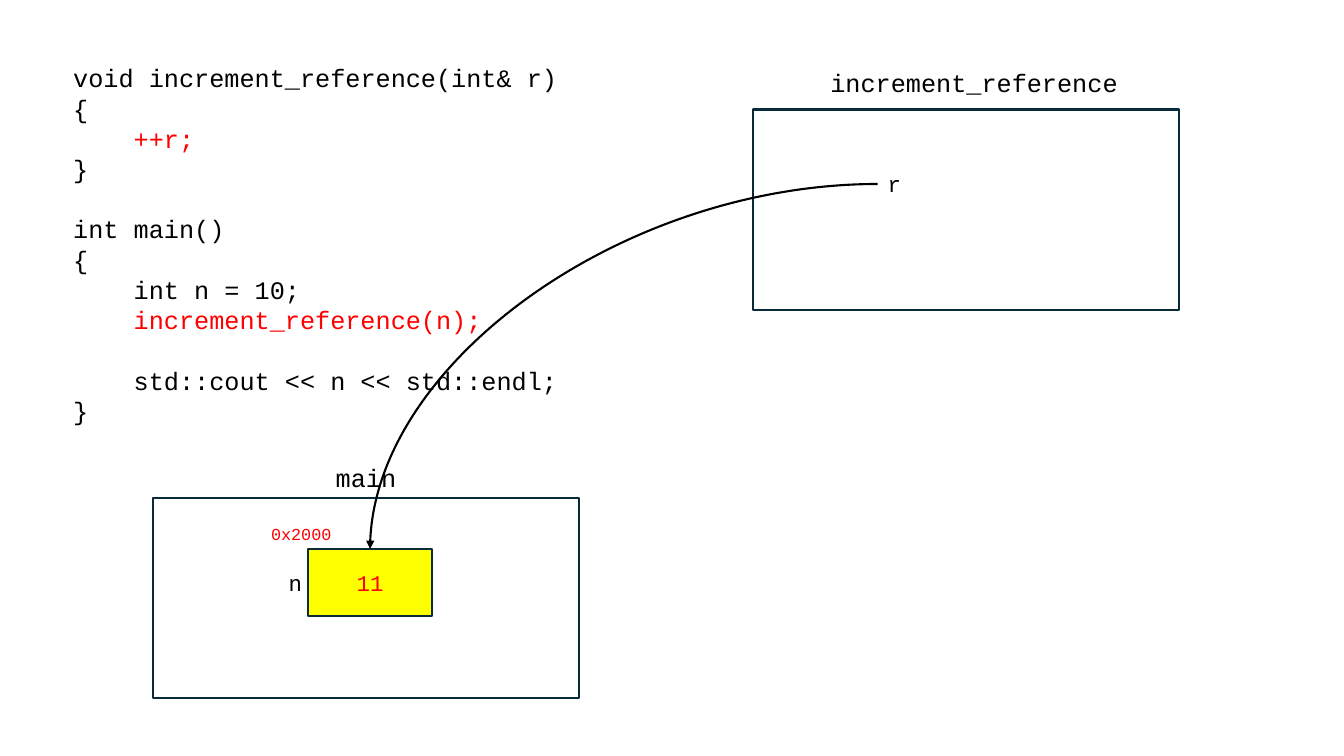
"""Build a slide showing a reference parameter that points into the caller's stack frame."""
from pptx import Presentation
from pptx.dml.color import RGBColor
from pptx.enum.shapes import MSO_CONNECTOR, MSO_SHAPE
from pptx.enum.text import MSO_ANCHOR, MSO_AUTO_SIZE, PP_ALIGN
from pptx.util import Pt
from lxml import etree

BLACK, RED, WHITE, YELLOW, NAVY = "000000", "FF0000", "FFFFFF", "FFFF00", "092A39"
LINE_PITCH = 21.6
INDENT = 43.2


def rgb(value):
    return RGBColor.from_string(value)


def write(p, text, size, color, align=PP_ALIGN.LEFT):
    p.alignment = align
    r = p.add_run()
    r.text = text
    for name, value in {"name": "Courier New", "size": Pt(size)}.items():
        setattr(r.font, name, value)
    r.font.color.rgb = rgb(color)


prs = Presentation()
prs.slide_width, prs.slide_height = Pt(960), Pt(540)
s = prs.slides.add_slide(prs.slide_layouts[6])

code = [
    ("void increment_reference(int& r)", 0, 0, BLACK),
    ("{", 0, 0, BLACK),
    ("++r;", 1, 0, RED),
    ("}", 0, 0, BLACK),
    ("int main()", 0, 1, BLACK),
    ("{", 0, 0, BLACK),
    ("int n = 10;", 1, 0, BLACK),
    ("increment_reference(n);", 1, 0, RED),
    ("std::cout << n << std::endl;", 1, 1, BLACK),
    ("}", 0, 0, BLACK),
]
tf = s.shapes.add_textbox(Pt(45.2), Pt(41.2), Pt(480), Pt(269.3)).text_frame
tf.word_wrap = True
tf.auto_size = MSO_AUTO_SIZE.SHAPE_TO_FIT_TEXT
for i, (text, level, gap, color) in enumerate(code):
    p = tf.add_paragraph() if i else tf.paragraphs[0]
    p.line_spacing = Pt(LINE_PITCH)
    if gap:
        p.space_before = Pt(LINE_PITCH)
    write(p, text, 18, color)
    if level:
        p._p.get_or_add_pPr().set("marL", str(Pt(INDENT)))

boxes = {
    "main": (109.4, 355.5, 304.4, 143.1, WHITE),
    "increment_reference": (537.8, 78.2, 304.6, 143.1, WHITE),
    "n": (220.1, 392.1, 88.6, 48.2, YELLOW),
}
cells = {}
for name, (x, y, w, h, fill) in boxes.items():
    sp = s.shapes.add_shape(MSO_SHAPE.RECTANGLE, Pt(x), Pt(y), Pt(w), Pt(h))
    sp.shadow.inherit = False
    sp.fill.solid()
    sp.fill.fore_color.rgb = rgb(fill)
    sp.line.color.rgb = rgb(NAVY)
    sp.line.width = Pt(1.5)
    cells[name] = sp
tf = cells["n"].text_frame
tf.vertical_anchor = MSO_ANCHOR.MIDDLE
write(tf.paragraphs[0], "11", 16, RED, PP_ALIGN.CENTER)

texts = [
    ("main", 214.6, 326.5, 93.6, 29.1, 18, BLACK, PP_ALIGN.CENTER),
    ("increment_reference", 583.4, 44.6, 224.6, 29.1, 18, BLACK, PP_ALIGN.CENTER),
    ("n", 199.1, 403.2, 18.7, 26.6, 16, BLACK, PP_ALIGN.CENTER),
    ("0x2000", 186.5, 370.8, 85.7, 21.6, 12, RED, PP_ALIGN.LEFT),
    ("r", 627, 118.1, 18.7, 26.6, 16, BLACK, PP_ALIGN.CENTER),
]
labels = {}
for text, x, y, w, h, size, color, align in texts:
    sp = s.shapes.add_textbox(Pt(x), Pt(y), Pt(w), Pt(h))
    tf = sp.text_frame
    tf.word_wrap = True
    tf.auto_size = MSO_AUTO_SIZE.SHAPE_TO_FIT_TEXT
    write(tf.paragraphs[0], text, size, color, align)
    labels[text] = sp

cx = s.shapes.add_connector(MSO_CONNECTOR.CURVE, Pt(627), Pt(131.4), Pt(264.4), Pt(392.1))
cx.begin_connect(labels["r"], 1)
cx.end_connect(cells["n"], 0)
cx.line.color.rgb = rgb(BLACK)
cx.line.width = Pt(1.5)
spPr = cx._element.spPr
ns = "{http://schemas.openxmlformats.org/drawingml/2006/main}"
spPr.find(ns + "prstGeom").set("prst", "curvedConnector2")
etree.SubElement(spPr.find(ns + "ln"), ns + "tailEnd", type="triangle")
etree.SubElement(spPr, ns + "effectLst")

prs.save("out.pptx")
